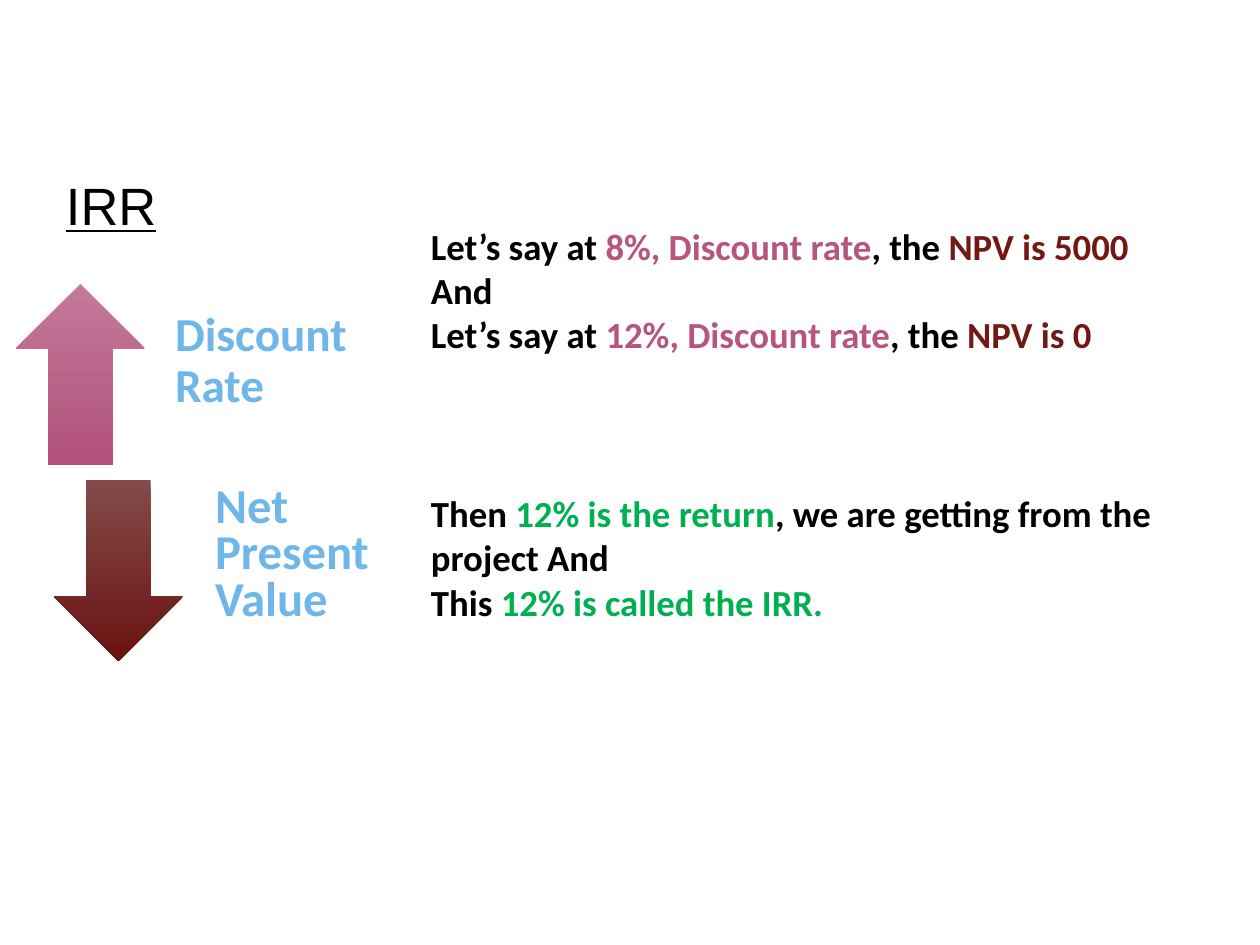
"""Build the IRR slide relating the discount rate to net present value."""
from dataclasses import dataclass

from pptx import Presentation
from pptx import util as u
from pptx.dml.color import RGBColor
from pptx.enum import shapes, text

EMU_PER_PX = 914400 / 126


@dataclass(frozen=True)
class Theme:
    heading_font: str = "Arial"
    body_font: str = "Calibri"
    ink: str = "000000"
    label: str = "6FB7E9"
    rate: str = "B65680"
    npv: str = "731815"
    irr: str = "00B050"
    rate_arrow: tuple[str, str] = ("C5799A", "B1517C")
    npv_arrow: tuple[str, str] = ("824B4A", "6A1210")
    title_pt: float = 30
    rate_label_pt: float = 27
    npv_label_pt: float = 27.8
    body_pt: float = 21
    conclusion_gap_pt: float = 77


THEME = Theme()


@dataclass(frozen=True)
class Box:
    left: int
    top: int
    width: int
    height: int


@dataclass(frozen=True)
class Span:
    wording: str
    color: str = THEME.ink


@dataclass(frozen=True)
class Line:
    spans: tuple[Span, ...]
    space_before: float = 0


@dataclass(frozen=True)
class Trend:
    arrow: shapes.MSO_SHAPE
    arrow_box: Box
    gradient: tuple[str, str]
    label: str
    label_box: Box
    label_pt: float
    inset: int
    line_spacing: float


TRENDS = (
    Trend(shapes.MSO_SHAPE.UP_ARROW, Box(16, 284, 129, 181), THEME.rate_arrow,
          "Discount Rate", Box(149, 284, 256, 181), THEME.rate_label_pt, 26, 0.9),
    Trend(shapes.MSO_SHAPE.DOWN_ARROW, Box(54, 480, 129, 181), THEME.npv_arrow,
          "Net Present Value", Box(186, 480, 236, 181), THEME.npv_label_pt, 29, 0.8),
)


def px(length: int) -> u.Emu:
    return u.Emu(round(length * EMU_PER_PX))


def place(box: Box) -> tuple[u.Emu, ...]:
    return px(box.left), px(box.top), px(box.width), px(box.height)


def style(font, name: str, size: float, color: str, bold: bool = True) -> None:
    font.name = name
    font.size = u.Pt(size)
    font.bold = bold
    font.color.rgb = RGBColor.from_string(color)


def add_frame(slide, box: Box, insets: tuple[int, int, int, int]):
    frame = slide.shapes.add_textbox(*place(box)).text_frame
    frame.word_wrap = True
    (frame.margin_left, frame.margin_top,
     frame.margin_right, frame.margin_bottom) = map(px, insets)
    return frame


def draw_trend(slide, trend: Trend) -> None:
    arrow = slide.shapes.add_shape(trend.arrow, *place(trend.arrow_box))
    arrow.shadow.inherit = False
    arrow.line.fill.background()
    arrow.fill.gradient()
    arrow.fill.gradient_angle = 270
    for stop, color in zip(arrow.fill.gradient_stops, trend.gradient):
        stop.color.rgb = RGBColor.from_string(color)

    inset = trend.inset
    label = add_frame(slide, trend.label_box, (inset, 0, inset, inset))
    label.vertical_anchor = text.MSO_ANCHOR.MIDDLE
    label.text = trend.label
    label.paragraphs[0].line_spacing = trend.line_spacing
    style(label.paragraphs[0].runs[0].font, THEME.body_font, trend.label_pt, THEME.label)


def draw_explanation(slide, box: Box, lines: tuple[Line, ...]) -> None:
    explanation = add_frame(slide, box, (9, 5, 9, 5))
    explanation.text = "\n".join("" for _ in lines)
    for paragraph, line in zip(explanation.paragraphs, lines):
        if line.space_before:
            paragraph.space_before = u.Pt(line.space_before)
        for span in line.spans:
            run = paragraph.add_run()
            run.text = span.wording
            style(run.font, THEME.body_font, THEME.body_pt, span.color)


def draw_title(slide, box: Box, wording: str) -> None:
    title = add_frame(slide, box, (0, 5, 9, 5))
    title.text = wording
    title.paragraphs[0].line_spacing = 0.9
    font = title.paragraphs[0].runs[0].font
    style(font, THEME.heading_font, THEME.title_pt, THEME.ink, bold=False)
    font.underline = True


def case(rate: str, npv: str) -> Line:
    return Line((Span("Let’s say at "), Span(f"{rate}, Discount rate", THEME.rate),
                 Span(", the "), Span(f"NPV is {npv}", THEME.npv)))


def main() -> None:
    deck = Presentation()
    deck.slide_width, deck.slide_height = px(1260), px(945)
    slide = deck.slides.add_slide(deck.slide_layouts[6])
    for trend in TRENDS:
        draw_trend(slide, trend)
    draw_explanation(slide, Box(422, 219, 822, 407), (
        case("8%", "5000"),
        Line((Span("And"),)),
        case("12%", "0"),
        Line((Span("Then "), Span("12% is the return", THEME.irr),
              Span(", we are getting from the project And")), THEME.conclusion_gap_pt),
        Line((Span("This "), Span("12% is called the IRR.", THEME.irr))),
    ))
    draw_title(slide, Box(66, 175, 712, 86), "IRR")
    deck.save("out.pptx")


if __name__ == "__main__":
    main()
